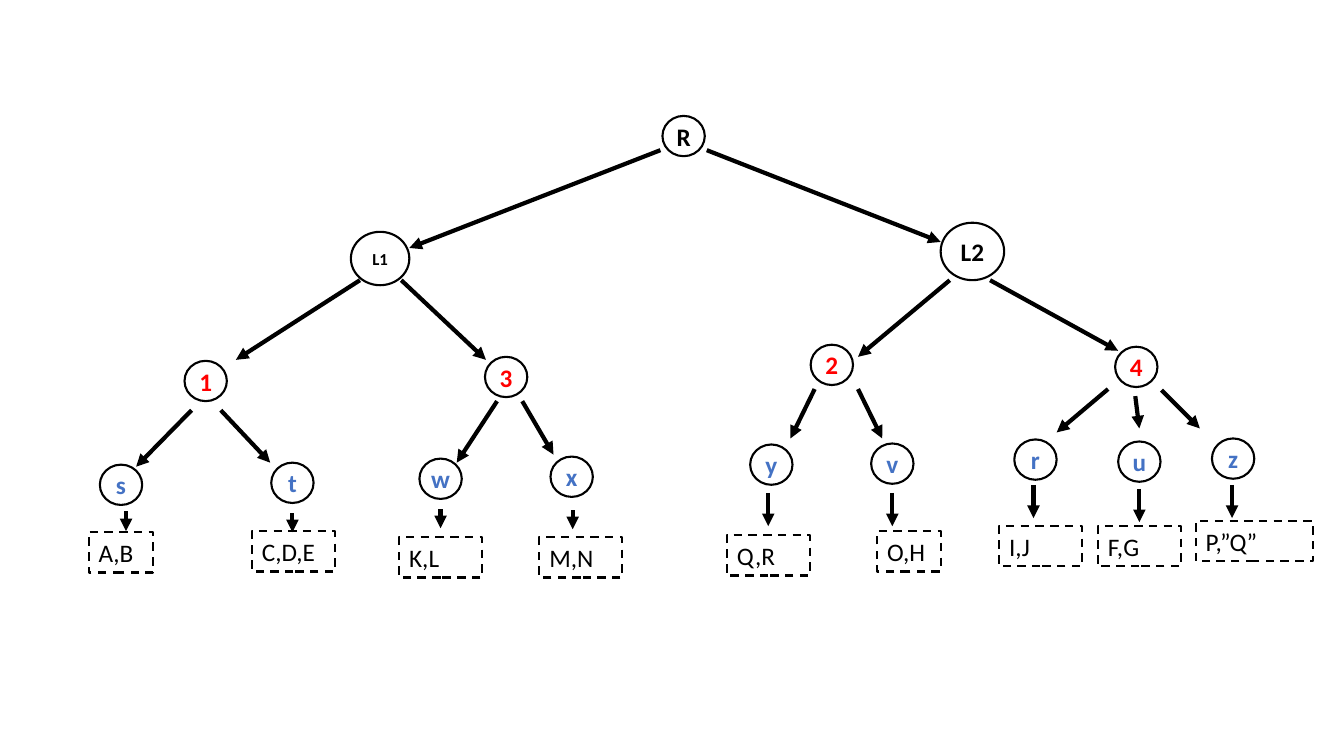
from lxml.etree import SubElement
from pptx import Presentation
from pptx.dml.color import RGBColor
from pptx.enum.dml import MSO_LINE
from pptx.enum.shapes import MSO_CONNECTOR, MSO_SHAPE
from pptx.enum.text import MSO_ANCHOR, MSO_AUTO_SIZE, PP_ALIGN
from pptx.oxml.ns import qn
from pptx.util import Inches, Pt

COLOURS = {"ink": "000000", "group": "FF0000", "leaf": "4472C4"}
NODE_SIZE = (0.42, 0.4)


def colour(name):
    return RGBColor.from_string(COLOURS[name])


def write_text(shape, text, size=18, tint="ink", bold=False, align=PP_ALIGN.LEFT):
    para = shape.text_frame.paragraphs[0]
    para.alignment = align
    span = para.add_run()
    span.text = text
    span.font.name = "Calibri"
    span.font.size = Pt(size)
    span.font.bold = bold
    span.font.color.rgb = colour(tint)


def add_outline(page, kind, left, top, width, height):
    shape = page.shapes.add_shape(
        kind, Inches(left), Inches(top), Inches(width), Inches(height))
    shape.shadow.inherit = False
    shape.fill.background()
    shape.line.color.rgb = colour("ink")
    shape.line.width = Pt(1.5)
    return shape


def draw_node(page, left, top, text, tint="ink", size=18, extent=NODE_SIZE):
    node = add_outline(page, MSO_SHAPE.OVAL, left, top, *extent)
    frame = node.text_frame
    frame.word_wrap = False
    frame.vertical_anchor = MSO_ANCHOR.MIDDLE
    frame.margin_left = frame.margin_right = 0
    frame.margin_top = frame.margin_bottom = 0
    write_text(node, text, size=size, tint=tint, bold=True, align=PP_ALIGN.CENTER)


def draw_items(page, left, top, width, text):
    box = add_outline(page, MSO_SHAPE.RECTANGLE, left, top, width, 0.4)
    box.line.dash_style = MSO_LINE.DASH
    frame = box.text_frame
    frame.word_wrap = True
    frame.auto_size = MSO_AUTO_SIZE.SHAPE_TO_FIT_TEXT
    frame.vertical_anchor = MSO_ANCHOR.TOP
    write_text(box, text)


def draw_arrow(page, left, top, start, end):
    arrow = page.shapes.add_connector(
        MSO_CONNECTOR.STRAIGHT, Inches(left + start[0]), Inches(top + start[1]),
        Inches(left + end[0]), Inches(top + end[1]))
    arrow.line.color.rgb = colour("ink")
    arrow.line.width = Pt(3)
    SubElement(arrow.line._get_or_add_ln(), qn("a:tailEnd"), type="triangle")
    SubElement(arrow._element.spPr, qn("a:effectLst"))


def draw_leaf(page, left, top, name, stem, length, items, place, width):
    draw_node(page, left, top, name, tint="leaf")
    draw_arrow(page, left, top, stem, (stem[0], stem[1] + length))
    draw_items(page, left + place[0], top + place[1], width, items)


def draw_group(page, left, top, name, leaves):
    draw_node(page, left, top, name, tint="group")
    for start, end, offset, *leaf in leaves:
        draw_arrow(page, left, top, start, end)
        draw_leaf(page, left + offset[0], top + offset[1], *leaf)


def draw_crown(page, left, top):
    draw_node(page, left, top, "R")
    draw_node(page, left - 3.09, top + 1.15, "L1", size=12, extent=(0.58, 0.53))
    draw_node(page, left + 2.76, top + 1.06, "L2", extent=(0.63, 0.57))
    for start, end in CROWN_EDGES:
        draw_arrow(page, left, top, start, end)


CROWN_EDGES = [
    ((-0.02, 0.34), (-2.51, 1.31)),
    ((0.44, 0.34), (2.76, 1.25)),
    ((-3, 1.63), (-4.23, 2.42)),
    ((-2.59, 1.63), (-1.75, 2.42)),
    ((2.85, 1.63), (1.94, 2.39)),
    ((3.25, 1.63), (4.52, 2.33)),
]

GROUPS = [
    (1.83, 3.58, "1", [
        ((0.07, 0.49), (-0.48, 1.05), (-0.84, 1.03),
         "s", (0.26, 0.46), 0.2, "A,B", (-0.11, 0.67), 0.64),
        ((0.36, 0.49), (0.85, 1.01), (0.86, 1.01),
         "t", (0.21, 0.5), 0.19, "C,D,E", (-0.19, 0.68), 0.82),
    ]),
    (4.81, 3.54, "3", [
        ((0.12, 0.44), (-0.28, 1.05), (-0.65, 1.01),
         "w", (0.21, 0.5), 0.19, "K,L", (-0.2, 0.78), 0.82),
        ((0.37, 0.44), (0.68, 0.97), (0.65, 0.99),
         "x", (0.22, 0.53), 0.19, "M,N", (-0.11, 0.8), 0.82),
    ]),
    (8.04, 3.42, "2", [
        ((0.04, 0.44), (-0.2, 0.93), (-0.6, 0.99),
         "y", (0.18, 0.48), 0.33, "Q,R", (-0.23, 0.9), 0.82),
        ((0.47, 0.44), (0.71, 0.93), (0.6, 0.98),
         "v", (0.21, 0.49), 0.33, "O,H", (0.06, 0.87), 0.63),
    ]),
    (11.06, 3.44, "4", [
        ((-0.07, 0.42), (-0.58, 0.85), (-1, 0.92),
         "r", (0.19, 0.45), 0.33, "I,J", (-0.15, 0.86), 0.82),
        ((0.2, 0.49), (0.24, 0.81), (0.03, 0.94),
         "u", (0.21, 0.47), 0.33, "F,G", (-0.2, 0.84), 0.82),
        ((0.46, 0.43), (0.84, 0.81), (0.96, 0.91),
         "z", (0.2, 0.46), 0.33, "P,”Q”", (-0.16, 0.82), 1.16),
    ]),
]

deck = Presentation()
deck.slide_width = Inches(13.33)
deck.slide_height = Inches(7.5)
page = deck.slides.add_slide(deck.slide_layouts[6])
draw_crown(page, 6.57, 1.15)
for group in GROUPS:
    draw_group(page, *group)
deck.save("out.pptx")
